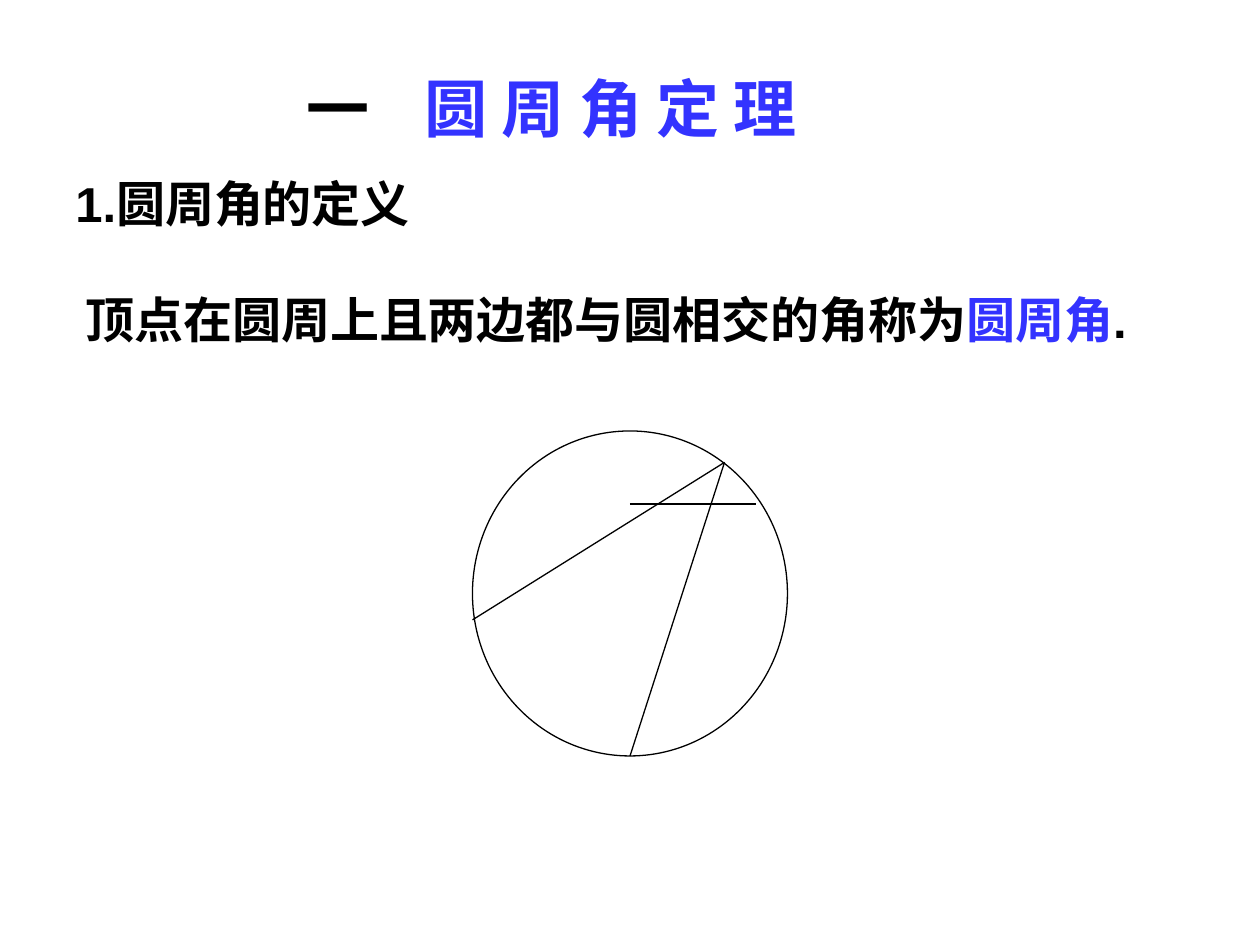
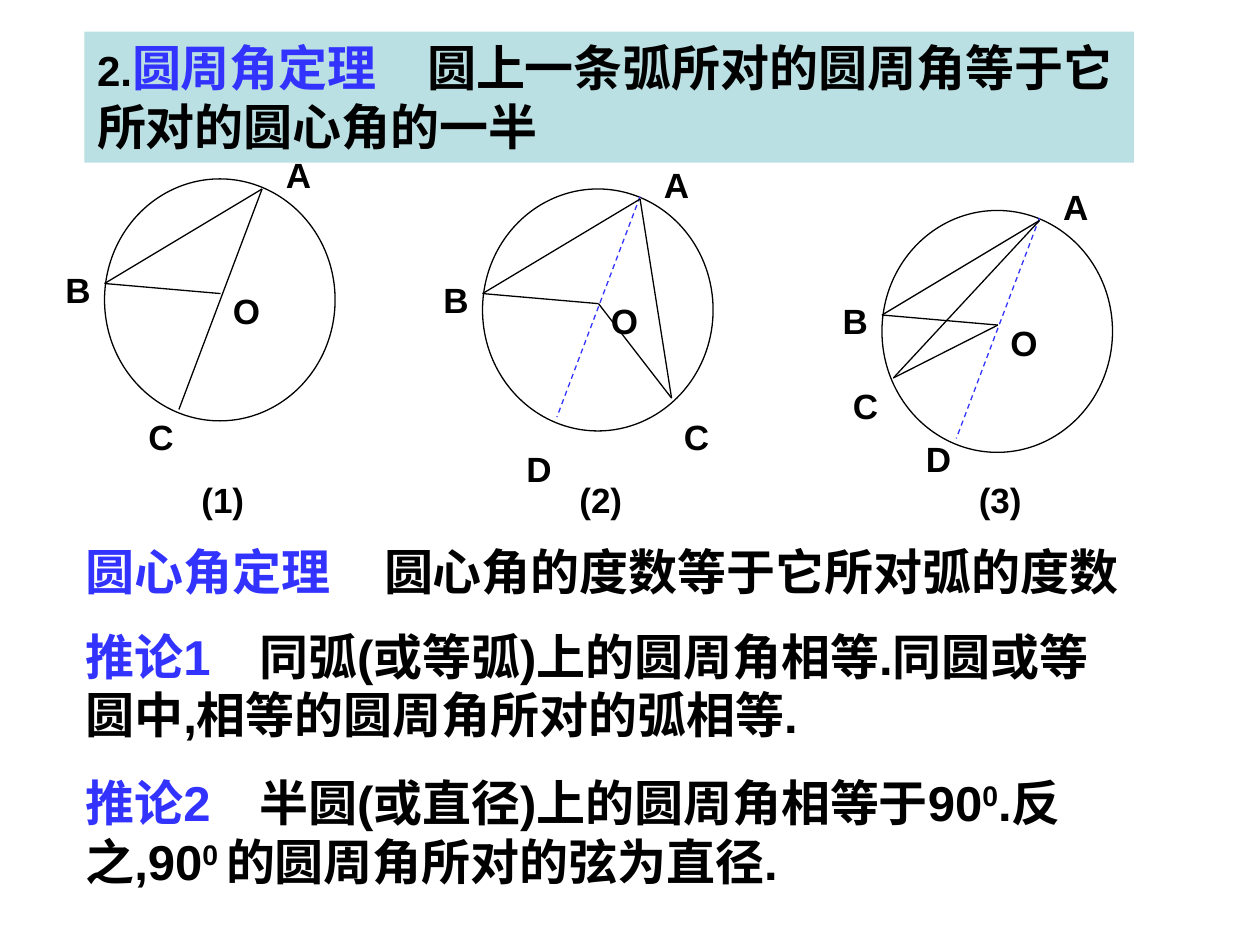
import pptx
import pptx.dml.color
import pptx.enum.dml
import pptx.enum.shapes
import pptx.enum.text
import pptx.oxml.ns
import pptx.util
from lxml import etree
from pptx.util import Inches

COLORS = {"ink": "000000", "blue": "3333FF", "band": "BBE0E3", "paper": "FFFFFF"}
FONT = "Arial"
LINE_WIDTH = 0.75
BODY_SIZE = 28
LABEL_SIZE = 20

FRAME_FORMAT = {
    "margin_left": Inches(0.1),
    "margin_right": Inches(0.1),
    "margin_top": Inches(0.05),
    "margin_bottom": Inches(0.05),
    "word_wrap": True,
    "vertical_anchor": pptx.enum.text.MSO_ANCHOR.TOP,
    "auto_size": pptx.enum.text.MSO_AUTO_SIZE.NONE,
}

# Inscribed-angle figure: places within the first figure, shifted for the others
CIRCLE = (0.83, 1.42, 1.83, 1.92)
POINT_A, POINT_B, POINT_O = (2.08, 1.5), (0.83, 2.25), (1.75, 2.33)
DIAMETER = ((2.08, 1.48), (1.42, 3.23))
SHARED_LABELS = {"A": (2.17, 1.17), "B": (0.42, 2.08), "O": (1.75, 2.25)}
CAPTION_LEFT, CAPTION_TOP = 1.5, 3.75

FIGURES = [
    {"shift": (0, 0), "point_c": (1.42, 3.25), "labels": {"C": (1.08, 3.25)}},
    {"shift": (3, 0.08), "point_c": (2.33, 3.08),
     "labels": {"C": (2.33, 3.17), "D": (1.08, 3.42)}},
    {"shift": (6.17, 0.25), "point_c": (0.92, 2.75),
     "labels": {"C": (0.5, 2.75), "D": (1.08, 3.17)}},
]


def color(name):
    return pptx.dml.color.RGBColor.from_string(COLORS[name])


def apply_format(target, values):
    for name, value in values.items():
        setattr(target, name, value)


def add_tab_stop(para, position):
    properties = para._p.get_or_add_pPr()
    tabs = etree.SubElement(properties, pptx.oxml.ns.qn("a:tabLst"))
    etree.SubElement(tabs, pptx.oxml.ns.qn("a:tab"),
                     pos=str(Inches(position)), algn="l")


def write_spans(box, spans, size, tab=None):
    """Each span is (text, color name) plus an optional dict of size or baseline."""
    apply_format(box.text_frame, FRAME_FORMAT)
    para = box.text_frame.paragraphs[0]
    para.alignment = pptx.enum.text.PP_ALIGN.LEFT
    if tab:
        add_tab_stop(para, tab)
    for text, color_name, *extras in spans:
        options = extras[0] if extras else {}
        span = para.add_run()
        span.text = text
        apply_format(span.font, {"name": FONT, "bold": True,
                                 "size": pptx.util.Pt(options.get("size", size))})
        span.font.color.rgb = color(color_name)
        if "baseline" in options:
            span._r.get_or_add_rPr().set("baseline", str(options["baseline"] * 1000))


def add_title(page, place, spans, size, tab, fill=None):
    title = page.shapes.title
    names = ("left", "top", "width", "height")
    apply_format(title, dict(zip(names, map(Inches, place))))
    if fill:
        title.fill.solid()
        title.fill.fore_color.rgb = color(fill)
    write_spans(title, spans, size, tab)


def add_text(page, place, spans, size=BODY_SIZE, tab=None):
    box = page.shapes.add_textbox(*map(Inches, place))
    write_spans(box, spans, size, tab)


def add_label(page, left, top, text, width=0.5):
    add_text(page, (left, top, width, 0.44), [(text, "ink")], LABEL_SIZE)


def style_line(line, color_name="ink"):
    line.color.rgb = color(color_name)
    line.width = pptx.util.Pt(LINE_WIDTH)


def add_circle(page, place, fill=None):
    circle = page.shapes.add_shape(pptx.enum.shapes.MSO_SHAPE.OVAL, *map(Inches, place))
    circle.shadow.inherit = False
    if fill:
        circle.fill.solid()
        circle.fill.fore_color.rgb = color(fill)
    else:
        circle.fill.background()
    style_line(circle.line)


def add_segment(page, start, end, color_name="ink", dashed=False):
    segment = page.shapes.add_connector(
        pptx.enum.shapes.MSO_CONNECTOR.STRAIGHT, *map(Inches, (*start, *end)))
    style_line(segment.line, color_name)
    if dashed:
        segment.line.dash_style = pptx.enum.dml.MSO_LINE.DASH
    etree.SubElement(segment._element.spPr, pptx.oxml.ns.qn("a:effectLst"))


def curve_points(start, first, second, end, steps=12):
    """Points along a cubic curve, without its start."""
    for step in range(1, steps + 1):
        t = step / steps
        weights = ((1 - t) ** 3, 3 * t * (1 - t) ** 2, 3 * t ** 2 * (1 - t), t ** 3)
        yield tuple(sum(weight * value for weight, value in zip(weights, axis))
                    for axis in zip(start, first, second, end))


def add_angle_mark(page):
    start, corner, end = (5.33, 3.92), (5.33, 4.17), (5.58, 4.17)
    points = [*curve_points(start, (5.31, 4.02), (5.29, 4.12), corner),
              *curve_points(corner, (5.37, 4.21), (5.54, 4.17), end)]
    builder = page.shapes.build_freeform(*start, scale=Inches(1))
    builder.add_line_segments(points, close=False)
    mark = builder.convert_to_shape()
    mark.shadow.inherit = False
    mark.fill.background()
    style_line(mark.line)


def add_figure(page, number, figure):
    shift_x, shift_y = figure["shift"]

    def shifted(point):
        return point[0] + shift_x, point[1] + shift_y

    add_circle(page, (*shifted(CIRCLE[:2]), *CIRCLE[2:]))
    segments = [(POINT_A, POINT_B), (POINT_B, POINT_O), (POINT_A, figure["point_c"])]
    if "D" in figure["labels"]:
        segments.append((POINT_O, figure["point_c"]))
        add_segment(page, *map(shifted, DIAMETER), "blue", dashed=True)
    for start, end in segments:
        add_segment(page, shifted(start), shifted(end))
    for text, place in {**SHARED_LABELS, **figure["labels"]}.items():
        add_label(page, *shifted(place), text)
    add_label(page, CAPTION_LEFT + shift_x, CAPTION_TOP, f"({number})", width=0.67)


def build_definition(page):
    add_title(page, (2.33, 0.5, 5.17, 0.7),
              [("一\t", "ink"), ("圆 周 角 定 理", "blue")], 36, tab=0.94)
    add_text(page, (0.5, 1.33, 3.83, 0.57), [("1.圆周角的定义", "ink")])
    add_text(page, (0.58, 2.25, 8.58, 0.57),
             [("顶点在圆周上且两边都与圆相交的角称为", "ink"),
              ("圆周角", "blue"), (".", "ink")])

    # Circle with its inscribed angle
    add_circle(page, (3.75, 3.42, 2.5, 2.58), fill="paper")
    vertex = (5.75, 3.67)
    for end in ((3.75, 4.92), (5, 6)):
        add_segment(page, vertex, end)
    add_angle_mark(page)


def build_theorem(page):
    add_title(page, (0.67, 0.25, 8.33, 1.04),
              [("2.", "ink", {"size": 24}), ("圆周角定理", "blue"),
               ("\t圆上一条弧所对的圆周角等于它所对的圆心角的一半", "ink")],
              BODY_SIZE, tab=2.62, fill="band")

    # Three cases of the proof
    for number, figure in enumerate(FIGURES, start=1):
        add_figure(page, number, figure)

    # Central angle theorem and corollaries
    add_text(page, (0.58, 4.25, 8.67, 0.57),
             [("圆心角定理", "blue"), ("\t圆心角的度数等于它所对弧的度数", "ink")],
             tab=2.37)
    add_text(page, (0.58, 4.92, 8.17, 1.04),
             [("推论1\t", "blue"),
              ("同弧(或等弧)上的圆周角相等.同圆或等圆中,相等的圆周角所对的弧相等.", "ink")],
             tab=1.38)
    raised = {"baseline": 30}
    add_text(page, (0.58, 6.08, 8.17, 1.04),
             [("推论2\t", "blue"), ("半圆(或直径)上的圆周角相等于90", "ink"),
              ("0", "ink", raised), (".反之,90", "ink"), ("0 ", "ink", raised),
              ("的圆周角所对的弦为直径.", "ink")],
             tab=1.38)


def main():
    deck = pptx.Presentation()
    deck.slide_width, deck.slide_height = Inches(10), Inches(7.5)
    title_only = deck.slide_layouts[5]
    for build in (build_definition, build_theorem):
        build(deck.slides.add_slide(title_only))
    deck.save("out.pptx")


if __name__ == "__main__":
    main()
